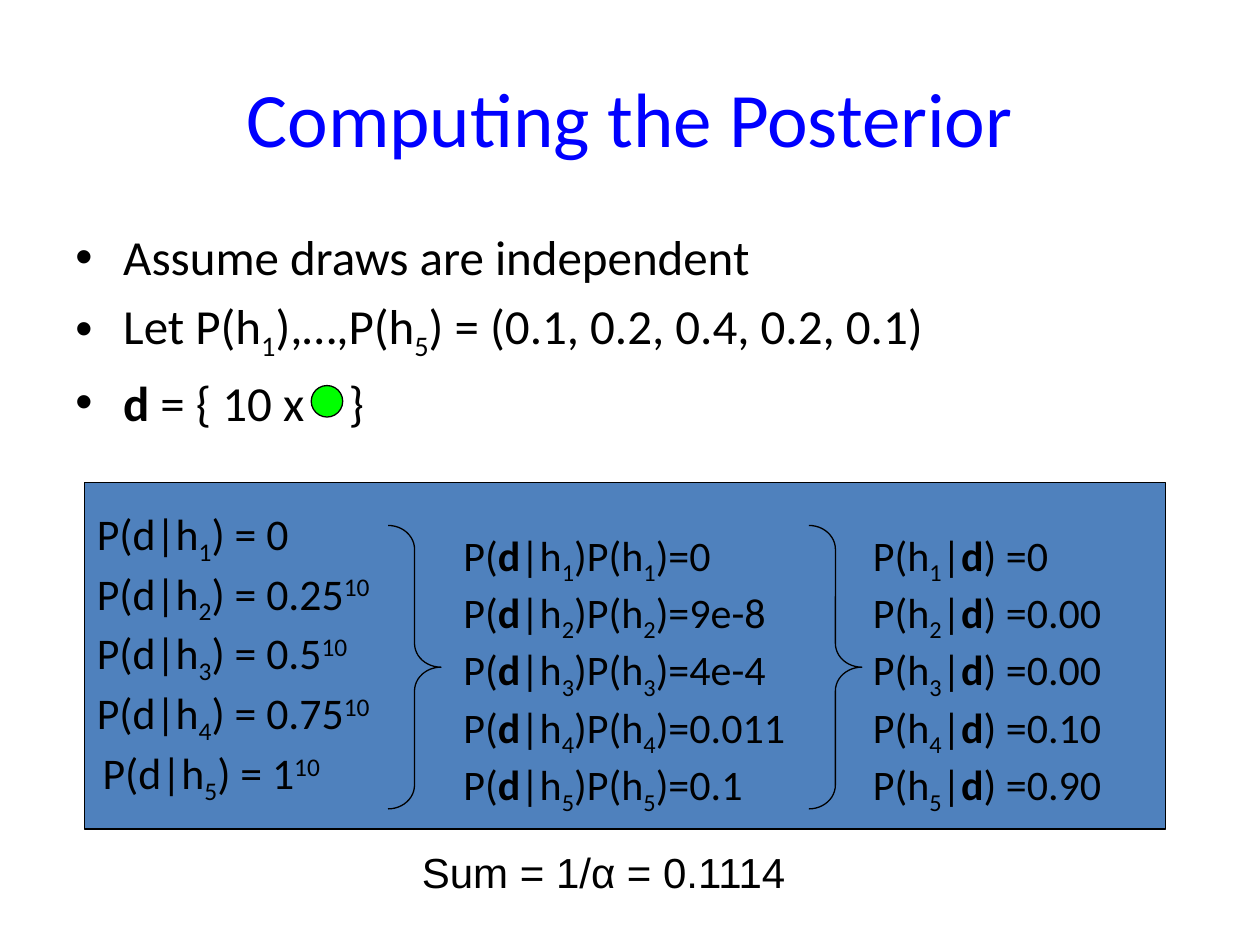
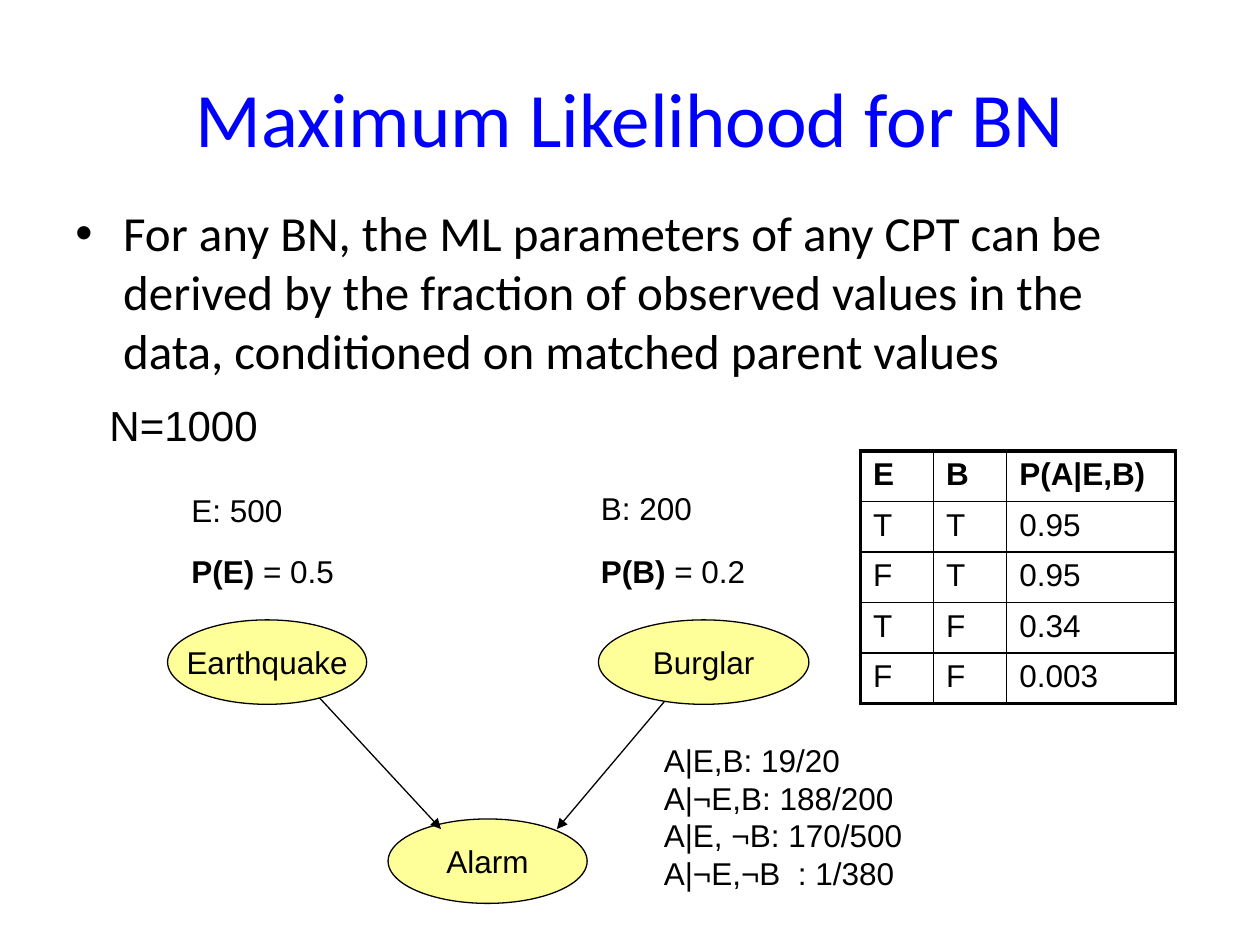
from pptx import Presentation, util as u
from pptx.dml.color import RGBColor
from pptx.enum import shapes, text
from pptx.oxml import xmlchemy

BLACK, WHITE, BLUE = "000000", "FFFFFF", "0000FF"
PANEL, GREEN, YELLOW = "4F81BD", "00FF00", "FFFF99"
MARKS = {"_": {"baseline": "-25000"}, "^": {"baseline": "30000"}, "*": {"b": "1"}, "~": {"spc": "1900"}}


def rgb(value):
    return RGBColor.from_string(value)


def inches(*values):
    return [u.Inches(value) for value in values]


def set_values(target, **values):
    for name, value in values.items():
        setattr(target, name, value)


def add_element(parent, tag, **attributes):
    element = xmlchemy.OxmlElement(tag)
    for name, value in attributes.items():
        element.set(name, str(value))
    parent.append(element)
    return element


class Deck:
    def __init__(self):
        self.presentation = Presentation()
        set_values(self.presentation, slide_width=u.Inches(10), slide_height=u.Inches(7.5))
        self.slide = None

    def add_slide(self, title):
        self.slide = self.presentation.slides.add_slide(self.presentation.slide_layouts[5])
        fill = self.slide.background.fill
        fill.solid()
        fill.fore_color.rgb = rgb(WHITE)
        placeholder = self.slide.shapes.title
        left, top, width, height = inches(0.5, 0.3, 9, 1.25)
        set_values(placeholder, left=left, top=top, width=width, height=height)
        placeholder.text_frame.vertical_anchor = text.MSO_ANCHOR.MIDDLE
        paragraph = placeholder.text_frame.paragraphs[0]
        paragraph.alignment = text.PP_ALIGN.CENTER
        self.add_runs(paragraph, title, 44, "Calibri", BLUE)

    def add_runs(self, paragraph, markup, size, font="Arial", color=BLACK):
        mark, piece = None, ""

        def finish_run():
            if piece:
                run = paragraph.add_run()
                run.text = piece
                set_values(run.font, size=u.Pt(size), name=font)
                run.font.color.rgb = rgb(color)
                for name, value in MARKS.get(mark, {}).items():
                    run._r.get_or_add_rPr().set(name, value)

        for letter in markup:
            if letter in MARKS or letter == "\n":
                finish_run()
                piece = ""
                if letter == "\n":
                    paragraph.add_line_break()
                else:
                    mark = None if mark == letter else letter
            else:
                piece += letter
        finish_run()

    def text_box(self, left, top, width, height, markup, size=18, font="Arial"):
        box = self.slide.shapes.add_textbox(*inches(left, top, width, height))
        box.text_frame.word_wrap = True
        self.add_runs(box.text_frame.paragraphs[0], markup, size, font)
        return box

    def bullets(self, top, items):
        frame = self.text_box(0.5, top, 9, 4.95, "").text_frame
        for index, item in enumerate(items):
            paragraph = frame.add_paragraph() if index else frame.paragraphs[0]
            if index:
                paragraph.space_before = u.Pt(5.6)
            properties = paragraph._p.get_or_add_pPr()
            indent = u.Inches(0.38)
            properties.set("marL", str(indent))
            properties.set("indent", str(-indent))
            add_element(properties, "a:buFont", typeface="Arial")
            add_element(properties, "a:buChar", char="•")
            self.add_runs(paragraph, item, 28, "Calibri")

    def shape(self, kind, left, top, width, height, fill=None, adjustments=()):
        shape = self.slide.shapes.add_shape(kind, *inches(left, top, width, height))
        shape.shadow.inherit = False
        if fill:
            shape.fill.solid()
            shape.fill.fore_color.rgb = rgb(fill)
        else:
            shape.fill.background()
        shape.line.color.rgb = rgb(BLACK)
        shape.line.width = u.Pt(0.75)
        for index, value in enumerate(adjustments):
            shape.adjustments[index] = value
        return shape

    def label(self, shape, markup, size, font="Arial", align=text.PP_ALIGN.CENTER):
        set_values(shape.text_frame, word_wrap=False, vertical_anchor=text.MSO_ANCHOR.MIDDLE)
        paragraph = shape.text_frame.paragraphs[0]
        paragraph.alignment = align
        self.add_runs(paragraph, markup, size, font)

    def node(self, left, top, width, name):
        self.label(self.shape(shapes.MSO_SHAPE.OVAL, left, top, width, 0.67, YELLOW), name, 18)

    def arrow(self, *ends):
        connector = self.slide.shapes.add_connector(shapes.MSO_CONNECTOR.STRAIGHT, *inches(*ends))
        connector.line.color.rgb = rgb(BLACK)
        connector.line.width = u.Pt(0.75)
        add_element(connector.line._get_or_add_ln(), "a:tailEnd", type="triangle")
        add_element(connector._element.spPr, "a:effectLst")

    def table(self, left, top, widths, row_height, rows):
        size = len(rows), len(widths)
        frame = self.slide.shapes.add_table(*size, *inches(left, top, sum(widths), row_height * len(rows)))
        table = frame.table
        set_values(table, first_row=False, horz_banding=False)
        for column, width in zip(table.columns, widths):
            column.width = u.Inches(width)
        for row_index, row in enumerate(rows):
            table.rows[row_index].height = u.Inches(row_height)
            for column_index, value in enumerate(row):
                cell = table.cell(row_index, column_index)
                markup = value if row_index else f"*{value}*"
                self.add_runs(cell.text_frame.paragraphs[0], markup, 18)
                outer = {
                    "L": column_index == 0,
                    "R": column_index == size[1] - 1,
                    "T": row_index == 0,
                    "B": row_index == size[0] - 1,
                }
                self.borders(cell, outer)
                cell.fill.background()

    def borders(self, cell, outer):
        properties = cell._tc.get_or_add_tcPr()
        for side, is_outer in outer.items():
            line = add_element(properties, f"a:ln{side}", w=u.Pt(2.25 if is_outer else 1))
            add_element(add_element(line, "a:solidFill"), "a:srgbClr", val=BLACK)


def posterior_slide(deck):
    deck.add_slide("Computing the Posterior")
    deck.bullets(1.75, [
        "Assume draws are independent",
        "Let P(h_1_),…,P(h_5_) = (0.1, 0.2, 0.4, 0.2, 0.1)",
        "*d* = { 10 x~ ~}",
    ])
    deck.shape(shapes.MSO_SHAPE.OVAL, 2.47, 3.06, 0.25, 0.25, GREEN)

    likelihoods = ["0", "0.25^10^", "0.5^10^", "0.75^10^", "1^10^"]
    joints = ["0", "9e-8", "4e-4", "0.011", "0.1"]
    posteriors = ["0", "0.00", "0.00", "0.10", "0.90"]
    likelihood_lines = [f"P(d|h_{i}_) = {value}" for i, value in enumerate(likelihoods, 1)]
    likelihood_lines[-1] = "^ ^" + likelihood_lines[-1]
    joint_lines = [f"P(*d*|h_{i}_)P(h_{i}_)={value}" for i, value in enumerate(joints, 1)]
    posterior_lines = [f"P(h_{i}_|*d*) ={value}" for i, value in enumerate(posteriors, 1)]

    panel = deck.shape(shapes.MSO_SHAPE.RECTANGLE, 0.67, 3.83, 8.58, 2.75, PANEL)
    deck.label(panel, "\n".join(likelihood_lines), 25, "Calibri", text.PP_ALIGN.LEFT)
    for brace_left, text_left, width, lines in (
        (3.08, 3.58, 2.92, joint_lines),
        (6.42, 6.83, 2.42, posterior_lines),
    ):
        deck.shape(shapes.MSO_SHAPE.RIGHT_BRACE, brace_left, 4.17, 0.42, 2.25, adjustments=(0.45, 0.5))
        deck.text_box(text_left, 4.15, width, 2.12, "\n".join(lines), 24, "Calibri")
    deck.text_box(3.25, 6.67, 3.17, 0.5, "Sum = 1/α = 0.1114", 24)


def network_slide(deck):
    deck.add_slide("Maximum Likelihood for BN")
    deck.bullets(1.56, [
        "For any BN, the ML parameters of any CPT can be derived by the fraction of "
        "observed values in the data, conditioned on matched parent values",
    ])
    deck.node(3.08, 6.5, 1.58, "Alarm")
    deck.arrow(2.5, 5.5, 3.5, 6.58)
    deck.arrow(5.33, 5.5, 4.42, 6.58)
    deck.node(1.33, 4.92, 1.58, "Earthquake")
    deck.node(4.75, 4.92, 1.67, "Burglar")
    deck.text_box(0.77, 3.12, 1.75, 0.5, "N=1000", 24)
    for left, top, count, probability in (
        (1.42, 3.85, "E: 500", "*P(E)* = 0.5"),
        (4.67, 3.83, "B: 200", "*P(B)* = 0.2"),
    ):
        deck.text_box(left, top, 2.08, 0.4, count)
        deck.text_box(left, 4.33, 2.08, 0.4, probability)
    deck.text_box(5.17, 5.83, 2.92, 1.3, "A|E,B: 19/20\nA|¬E,B: 188/200\nA|E, ¬B: 170/500\nA|¬E,¬B  : 1/380")
    deck.table(6.83, 3.58, (0.58, 0.58, 1.34), 0.4, [
        ("E", "B", "P(A|E,B)"),
        ("T", "T", "0.95"),
        ("F", "T", "0.95"),
        ("T", "F", "0.34"),
        ("F", "F", "0.003"),
    ])


def main():
    deck = Deck()
    posterior_slide(deck)
    network_slide(deck)
    deck.presentation.save("out.pptx")


if __name__ == "__main__":
    main()
